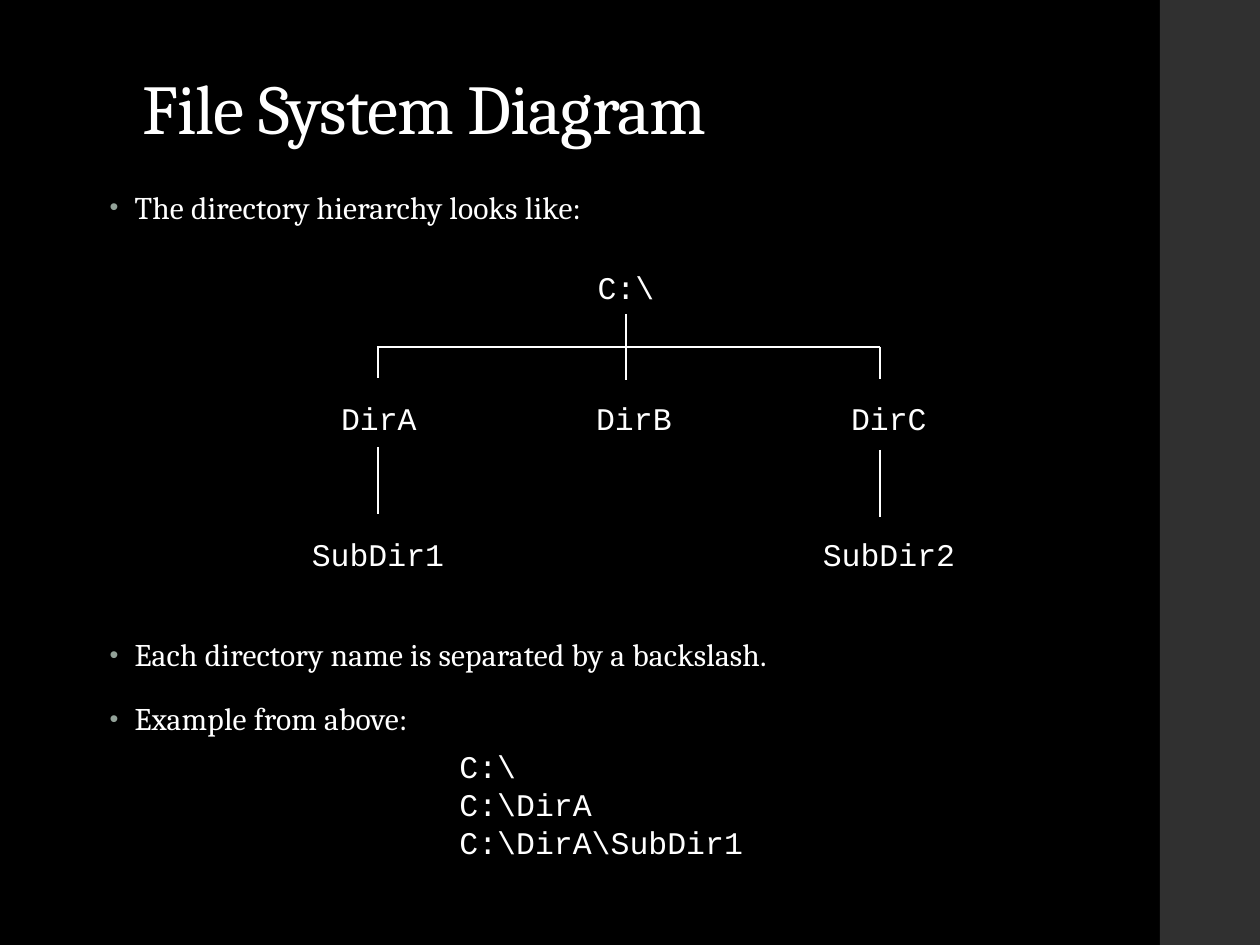
"""Build the File System Diagram slide."""
import pptx
import pptx.dml.color
import pptx.enum.shapes
import pptx.enum.text
import pptx.oxml
import pptx.oxml.ns
import pptx.util
import lxml.etree

THEME = {
    "background": "000000", "sidebar": "303030", "text": "FFFFFF", "bullet": "93A299",
    "serif": "Cambria", "mono": "Courier New",
    "title_size": 40, "text_size": 18, "line_width": 1.5,
}
SLIDE_SIZE = (1260, 945)
SIDEBAR = (1160, 0, 100, 945)
TITLE = ("File System Diagram", (130, 50, 852, 106))
BODY_BOX = (97, 184, 948, 620)
BULLETS = [
    ("The directory hierarchy looks like:", 14),
    ("Each directory name is separated by a backslash.", 233),
    ("Example from above:", 14),
]
BULLET_INDENT = 25
DIRECTORIES = [
    ("C:\\", 626, 262),
    ("DirA", 379, 393),
    ("DirB", 634, 393),
    ("DirC", 889, 393),
    ("SubDir1", 378, 529),
    ("SubDir2", 889, 529),
]
EXAMPLES = (["C:\\", "C:\\DirA", "C:\\DirA\\SubDir1"], 447, 741)
LEFT, MIDDLE, RIGHT, BRANCH = 378, 626, 880, 347
LINES = [
    (MIDDLE, 314, MIDDLE, 380),
    (LEFT - 1, BRANCH, RIGHT, BRANCH),
    (LEFT, BRANCH, LEFT, 378),
    (RIGHT, BRANCH, RIGHT, 379),
    (LEFT, 447, LEFT, 514),
    (RIGHT, 450, RIGHT, 517),
]
CHARACTER_WIDTH, LINE_HEIGHT = 18.9, 38
INSET_WIDTH, INSET_HEIGHT = 25, 13


def px(pixels):
    return pptx.util.Emu(round(pixels * 914400 / 126))


def color(name):
    return pptx.dml.color.RGBColor.from_string(THEME[name])


def place(shape, box):
    shape.left, shape.top, shape.width, shape.height = map(px, box)


def write(paragraph, text, font="serif", size="text_size", tracking=0, **spacing):
    run = paragraph.add_run()
    run.text = text
    run.font.name = THEME[font]
    run.font.size = pptx.util.Pt(THEME[size])
    run.font.color.rgb = color("text")
    if tracking:
        run.font._element.set("spc", str(tracking))
    paragraph.alignment = pptx.enum.text.PP_ALIGN.LEFT
    for name, value in spacing.items():
        setattr(paragraph, name, value)


def add_bullet(paragraph):
    properties = paragraph._p.get_or_add_pPr()
    properties.set("marL", str(px(BULLET_INDENT)))
    properties.set("indent", str(-px(BULLET_INDENT)))
    namespace = pptx.oxml.ns.nsdecls("a")
    for xml in (
        f'<a:buClr {namespace}><a:srgbClr val="{THEME["bullet"]}"/></a:buClr>',
        f'<a:buSzPct {namespace} val="80000"/>',
        f'<a:buFont {namespace} typeface="Arial"/>',
        f'<a:buChar {namespace} char="\u2022"/>',
    ):
        properties.append(pptx.oxml.parse_xml(xml))


def paragraphs(frame, count):
    return [frame.paragraphs[0]] + [frame.add_paragraph() for _ in range(count - 1)]


def add_code(slide, lines, left, top):
    width = max(map(len, lines)) * CHARACTER_WIDTH + INSET_WIDTH
    height = len(lines) * LINE_HEIGHT + INSET_HEIGHT
    frame = slide.shapes.add_textbox(*map(px, (left, top, width, height))).text_frame
    frame.word_wrap = False
    for paragraph, line in zip(paragraphs(frame, len(lines)), lines):
        write(paragraph, line, font="mono")


def add_line(slide, ends):
    line = slide.shapes.add_connector(pptx.enum.shapes.MSO_CONNECTOR.STRAIGHT, *map(px, ends))
    line.line.color.rgb = color("text")
    line.line.width = pptx.util.Pt(THEME["line_width"])
    lxml.etree.SubElement(line._element.spPr, pptx.oxml.ns.qn("a:effectLst"))


def fill_placeholders(slide):
    title, body = slide.placeholders
    text, box = TITLE
    place(title, box)
    place(body, BODY_BOX)
    for shape, anchor in ((title, "BOTTOM"), (body, "TOP")):
        shape.text_frame.auto_size = pptx.enum.text.MSO_AUTO_SIZE.NONE
        shape.text_frame.vertical_anchor = pptx.enum.text.MSO_ANCHOR[anchor]
    write(title.text_frame.paragraphs[0], text, size="title_size", tracking=-50, line_spacing=0.9)
    for paragraph, (text, before) in zip(paragraphs(body.text_frame, len(BULLETS)), BULLETS):
        write(paragraph, text, tracking=10, line_spacing=0.95,
              space_before=pptx.util.Pt(before), space_after=pptx.util.Pt(2))
        add_bullet(paragraph)


def build():
    presentation = pptx.Presentation()
    presentation.slide_width, presentation.slide_height = map(px, SLIDE_SIZE)
    slide = presentation.slides.add_slide(presentation.slide_layouts[1])
    slide.background.fill.solid()
    slide.background.fill.fore_color.rgb = color("background")
    sidebar = slide.shapes.add_shape(pptx.enum.shapes.MSO_SHAPE.RECTANGLE, *map(px, SIDEBAR))
    sidebar.shadow.inherit = False
    sidebar.fill.solid()
    sidebar.fill.fore_color.rgb = color("sidebar")
    sidebar.line.fill.background()
    fill_placeholders(slide)
    for name, center, top in DIRECTORIES:
        width = len(name) * CHARACTER_WIDTH + INSET_WIDTH
        add_code(slide, [name], center - width / 2, top)
    for ends in LINES:
        add_line(slide, ends)
    add_code(slide, *EXAMPLES)
    presentation.save("out.pptx")


build()
